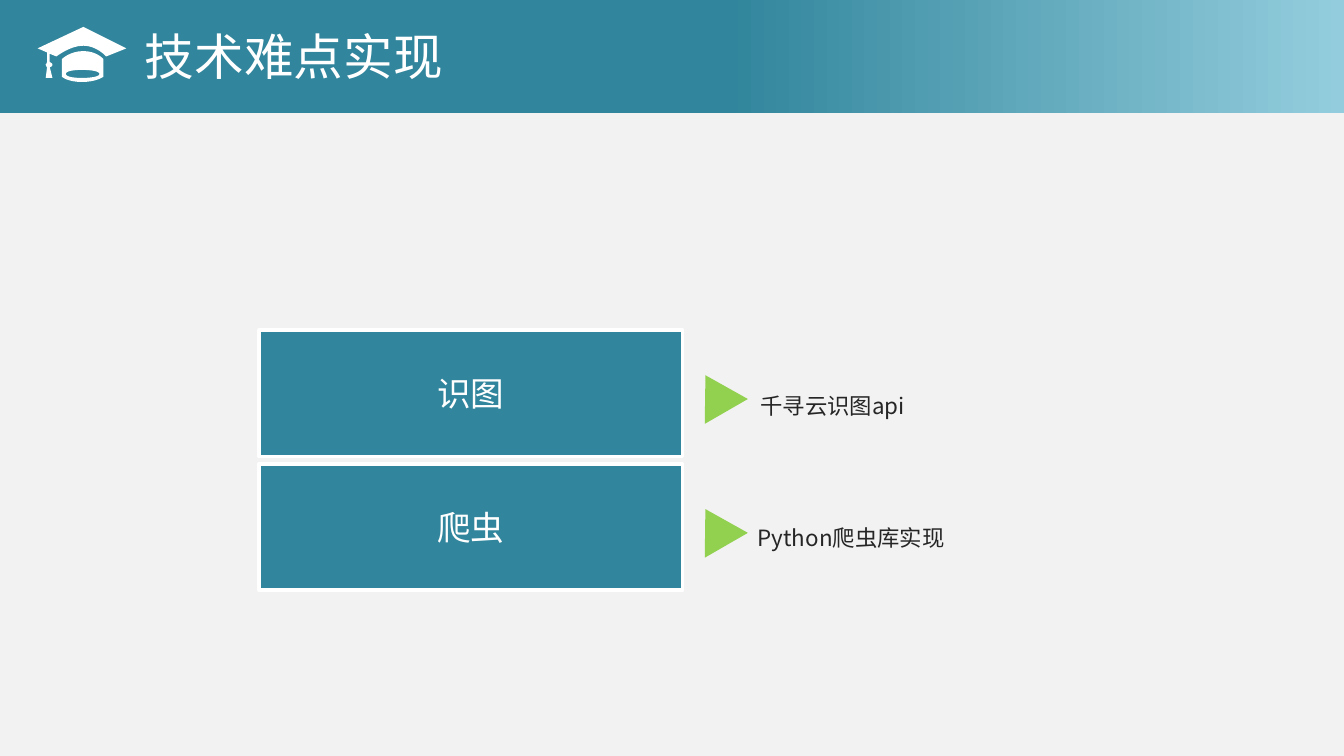
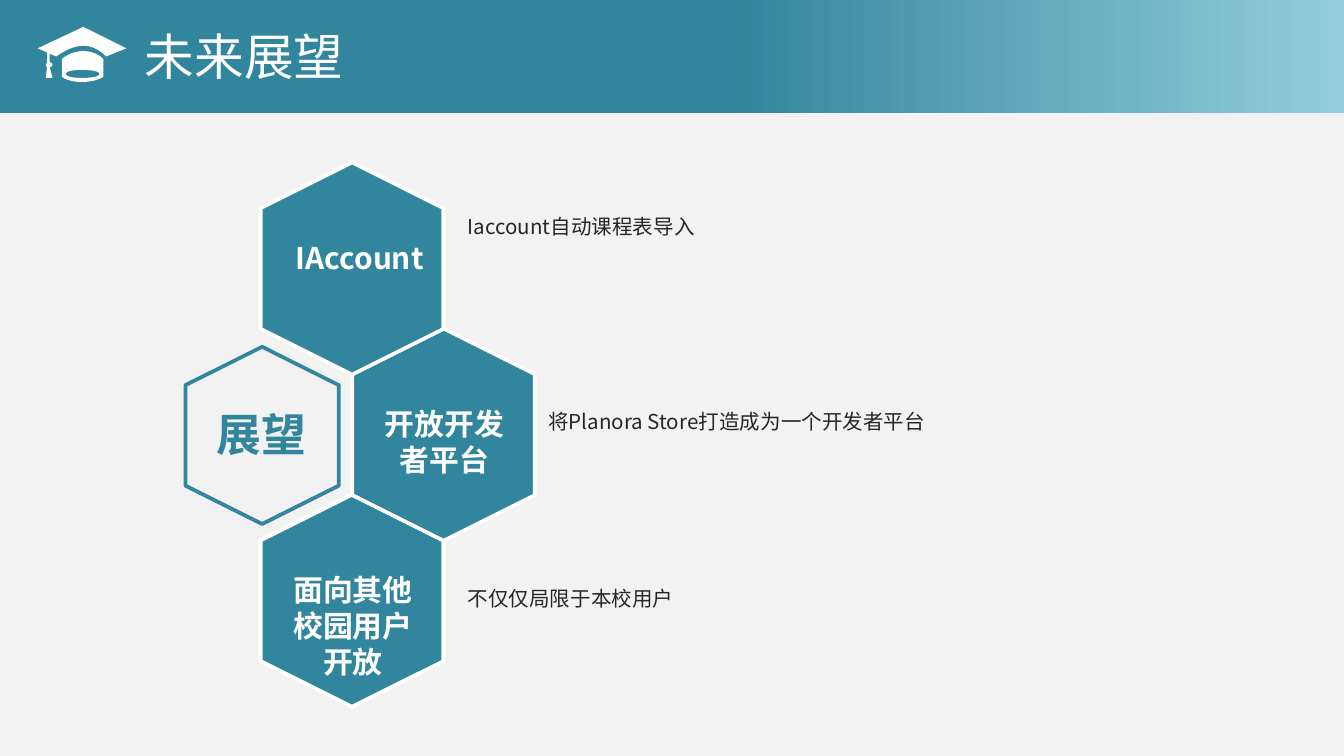
from copy import deepcopy
from dataclasses import dataclass

from pptx import Presentation
from pptx.dml.color import RGBColor as RGB
from pptx.enum.shapes import MSO_SHAPE as SHAPE
from pptx.enum.text import MSO_ANCHOR as ANCHOR, MSO_AUTO_SIZE as AUTO, PP_ALIGN as ALIGN
from pptx.oxml.ns import qn
from pptx.util import Cm, Pt


@dataclass(frozen=True)
class Theme:
    font: str = "Noto Sans CJK SC"
    # Colours
    page: RGB = RGB(0xF2, 0xF2, 0xF2)
    teal: RGB = RGB(0x31, 0x85, 0x9C)
    sky: RGB = RGB(0x93, 0xCD, 0xDD)
    green: RGB = RGB(0x92, 0xD0, 0x50)
    ink: RGB = RGB(0x26, 0x26, 0x26)
    white: RGB = RGB(0xFF, 0xFF, 0xFF)
    # Type sizes and line width in points
    title: float = 26.6
    centre: float = 24
    box: float = 18
    hexagon: float = 16
    caption: float = 12
    small: float = 11
    line: float = 2


# Graduation cap outlines in 1/100 inch: a pair is a corner,
# three pairs are the control points and end of a curve
CAP = [
    [(79, 42), (79, 42, 72, 34, 62, 34), (52, 34, 42, 42, 42, 42), (37, 40), (37, 46),
     (38, 47, 39, 47, 39, 48), (39, 49, 38, 50, 37, 50), (39, 58), (34, 58), (35, 50),
     (35, 50, 34, 49, 34, 48), (34, 48, 35, 47, 35, 46), (35, 39), (28, 36), (62, 20),
     (94, 36)],
    [(62, 38), (72, 38, 77, 44, 77, 44), (77, 57), (77, 57, 72, 61, 61, 61),
     (50, 61, 46, 57, 46, 57), (46, 44), (46, 44, 52, 38, 62, 38)],
    [(61, 58), (68, 58, 74, 57, 74, 55), (74, 53, 68, 52, 61, 52),
     (54, 52, 49, 53, 49, 55), (49, 57, 54, 58, 61, 58)],
]
CAP_UNIT = 25.4  # 1/100 inch in 1/1000 cm


def flatten(outline, steps=8):
    """Turn corners and cubic curves into points in 1/1000 cm."""
    pts = [outline[0]]
    for seg in outline[1:]:
        if len(seg) == 2:
            pts.append(seg)
            continue
        ctrl = [pts[-1], seg[:2], seg[2:4], seg[4:]]
        for i in range(1, steps + 1):
            t = i / steps
            weights = ((1 - t) ** 3, 3 * t * (1 - t) ** 2, 3 * t * t * (1 - t), t ** 3)
            pts.append(tuple(sum(w * c[k] for w, c in zip(weights, ctrl)) for k in (0, 1)))
    return [(x * CAP_UNIT, y * CAP_UNIT) for x, y in pts]


def assign(obj, values):
    for name, value in values.items():
        setattr(obj, name, value)


class Deck:
    def __init__(self, theme):
        self.theme = theme
        self.prs = Presentation()
        assign(self.prs, {"slide_width": Cm(25.4), "slide_height": Cm(14.29)})
        fill = self.prs.slide_master.background.fill
        fill.solid()
        fill.fore_color.rgb = theme.page
        self.s = None

    def slide(self, title):
        """Start a slide with the shared band, title and cap."""
        self.s = self.prs.slides.add_slide(self.prs.slide_layouts[6])
        self.band()
        self.text((2.49, 0.36, 10.72, 1.4), title, self.theme.title, self.theme.white,
                  grow=True)
        self.cap()

    def band(self):
        t = self.theme
        sp = self.shape(SHAPE.RECTANGLE, (0, 0, 25.4, 2.13))
        sp.fill.gradient()
        sp.fill.gradient_angle = 180
        stops = sp._element.xpath(".//a:gsLst")[0]
        stops.append(deepcopy(stops[-1]))
        looks = ((0, t.sky), (0.46, t.teal), (1, t.teal))
        for stop, (position, color) in zip(sp.fill.gradient_stops, looks):
            stop.position = position
            stop.color.rgb = color

    def cap(self):
        first, *rest = [flatten(outline) for outline in CAP]
        fb = self.s.shapes.build_freeform(*first[0], scale=Cm(0.001))
        fb.add_line_segments(first[1:], close=True)
        for pts in rest:
            fb.move_to(*pts[0])
            fb.add_line_segments(pts[1:], close=True)
        self.paint(fb.convert_to_shape(), self.theme.white)

    def paint(self, sp, fill=None, line=None):
        sp.shadow.inherit = False
        if fill is None:
            sp.fill.background()
        else:
            sp.fill.solid()
            sp.fill.fore_color.rgb = fill
        if line is None:
            sp.line.fill.background()
        else:
            sp.line.color.rgb = line
            sp.line.width = Pt(self.theme.line)

    def shape(self, kind, at, fill=None, line=None, rotation=0):
        sp = self.s.shapes.add_shape(kind, *map(Cm, at))
        sp.rotation = rotation
        self.paint(sp, fill, line)
        return sp

    def add_run(self, sp, text, size, color, bold=None, para=None):
        p = sp.text_frame.paragraphs[0]
        assign(p, para or {})
        r = p.add_run()
        r.text = text
        assign(r.font, {"name": self.theme.font, "size": Pt(size), "bold": bold})
        r.font.color.rgb = color
        rPr = r._r.get_or_add_rPr()
        ea = rPr.makeelement(qn("a:ea"), {"typeface": self.theme.font})
        rPr.find(qn("a:latin")).addnext(ea)

    def text(self, at, text, size, color, bold=None, grow=False, para=None):
        sp = self.s.shapes.add_textbox(*map(Cm, at))
        assign(sp.text_frame, {"word_wrap": True,
                               "auto_size": AUTO.SHAPE_TO_FIT_TEXT if grow else AUTO.NONE})
        self.add_run(sp, text, size, color, bold, para)
        return sp

    def caption(self, at, text, size):
        self.text(at, text, size, self.theme.ink,
                  para={"line_spacing": 1.5, "space_before": Pt(3)})

    def heading(self, at, text, size, color):
        return self.text(at, text, size, color, bold=True, grow=True,
                         para={"alignment": ALIGN.CENTER})

    def box(self, at, text):
        t = self.theme
        sp = self.shape(SHAPE.RECTANGLE, at, t.teal, t.white)
        sp.text_frame.vertical_anchor = ANCHOR.MIDDLE
        self.add_run(sp, text, t.box, t.white, para={"alignment": ALIGN.CENTER})

    def arrow(self, left, top):
        self.shape(SHAPE.ISOSCELES_TRIANGLE, (left, top, 0.94, 0.79), self.theme.green,
                   rotation=330)

    def hexagon(self, left, top, text, text_size):
        t = self.theme
        sp = self.shape(SHAPE.HEXAGON, (left, top, 4.01, 3.45), t.teal, t.white, 270)
        label = self.heading((left + 0.56, top + 1.05, *text_size), text, t.hexagon, t.white)
        self.s.shapes.add_group_shape([sp, label])


def difficulties(deck):
    deck.slide("技术难点实现")
    rows = [
        ("识图", "千寻云识图api", (14.12, 7.04, 12.88, 0.81)),
        ("爬虫", "Python爬虫库实现", (14.07, 9.53, 12.88, 1.78)),
    ]
    for i, (name, solution, at) in enumerate(rows):
        top = 6.24 + 2.53 * i
        deck.box((4.9, top, 8, 2.39), name)
        deck.arrow(13.06, top + 0.8)
        deck.caption(at, solution, deck.theme.caption)


def outlook(deck):
    t = deck.theme
    deck.slide("未来展望")
    # Outlined hexagon around the topic
    deck.shape(SHAPE.HEXAGON, (3.28, 6.78, 3.35, 2.9), line=t.teal, rotation=270)
    # Goals from bottom to top, the middle one set to the right
    goals = [
        (4.65, "面向其他校园用户开放", (2.92, 2.31), "不仅仅局限于本校用户", (8.59, 10.72)),
        (6.38, "开放开发者平台", (2.92, 1.63),
         "将Planora Store打造成为一个开发者平台", (10.11, 7.37)),
        (4.65, "IAccount", (3.18, 0.94), "Iaccount自动课程表导入", (8.59, 3.68)),
    ]
    for i, (left, goal, text_size, detail, at) in enumerate(goals):
        deck.caption((*at, 13.21, 2.1), detail, t.small)
        deck.hexagon(left, 9.63 - 3.14 * i, goal, text_size)
    deck.heading((3.78, 7.57, 2.31, 1.27), "展望", t.centre, t.teal)


def main():
    deck = Deck(Theme())
    difficulties(deck)
    outlook(deck)
    deck.prs.save("out.pptx")


if __name__ == "__main__":
    main()
